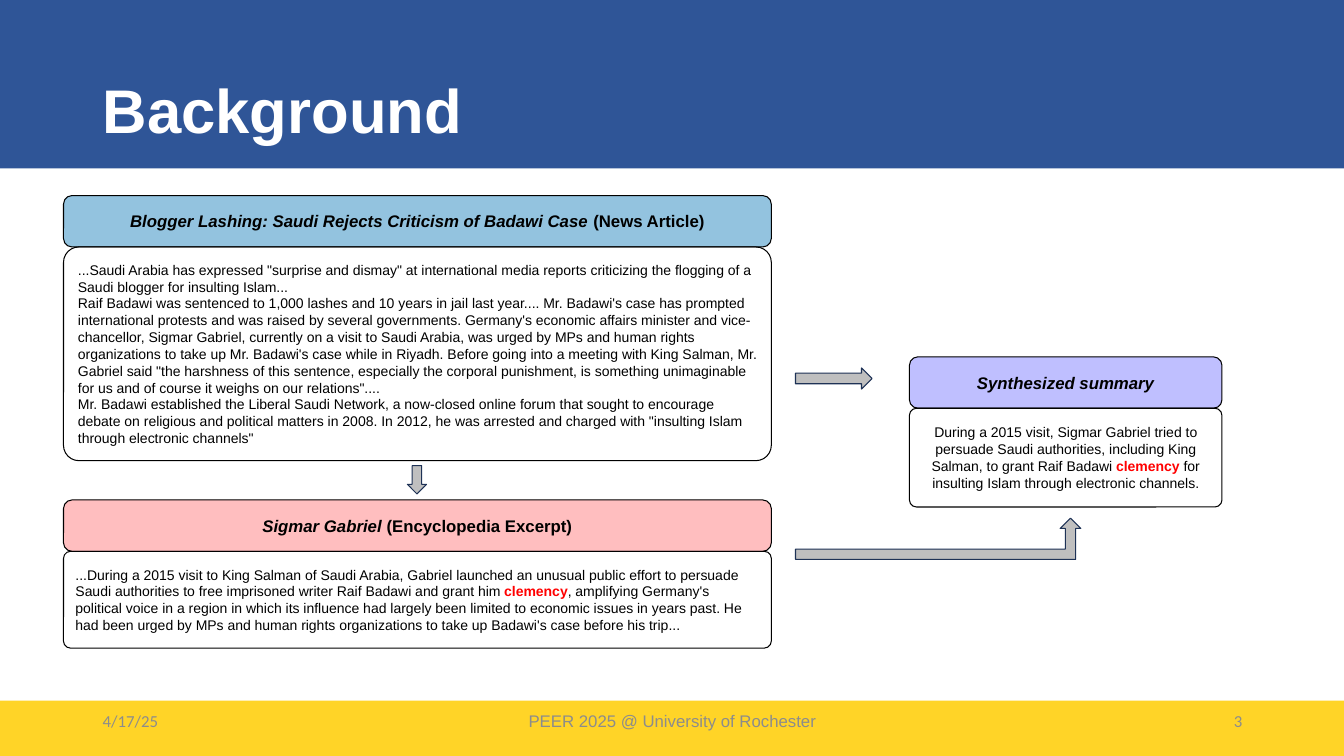
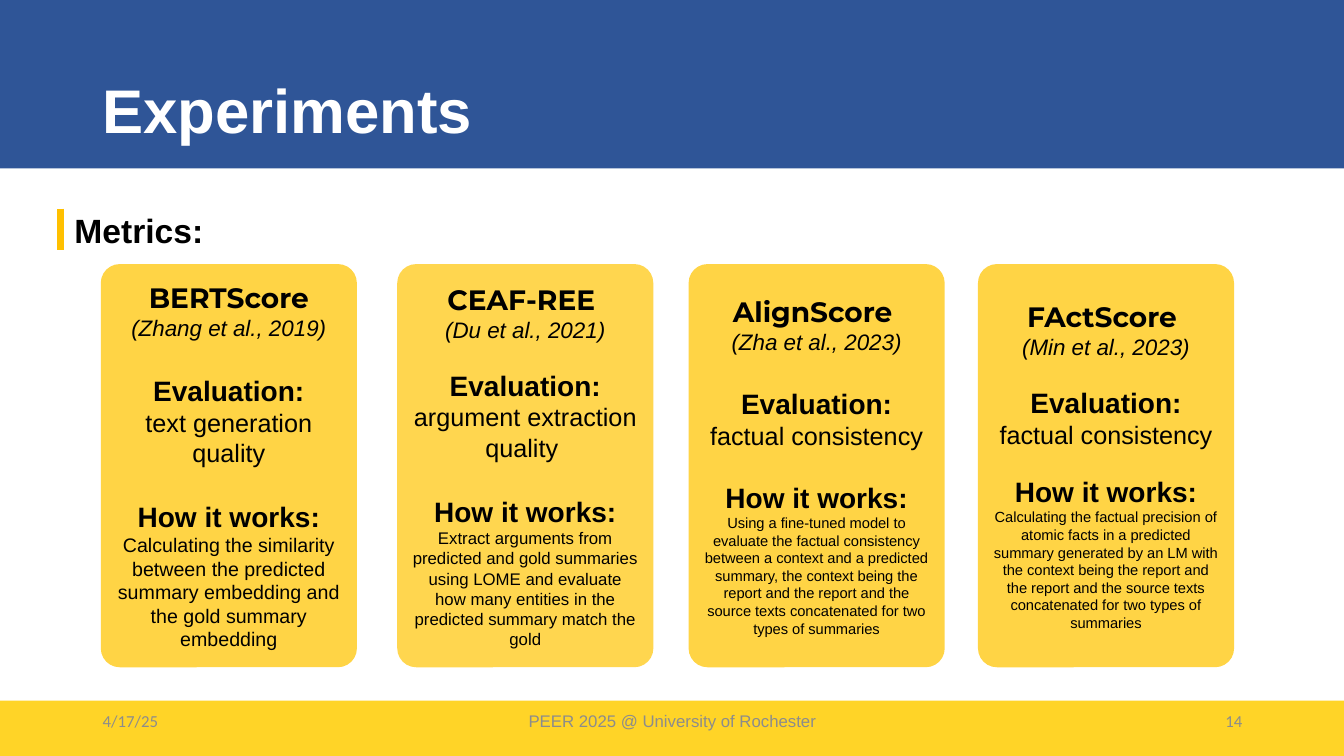
import dataclasses

import lxml.etree
import pptx
import pptx.dml.color
import pptx.enum.shapes
import pptx.enum.text
import pptx.oxml.ns
import pptx.util

RGB = pptx.dml.color.RGBColor
SHAPE = pptx.enum.shapes.MSO_SHAPE
ALIGN = pptx.enum.text.PP_ALIGN
MIDDLE = pptx.enum.text.MSO_ANCHOR.MIDDLE

PX = 9144  # EMU: 100 px to the inch
WIDTH, HEIGHT = 1333, 750

BLUE = RGB(0x2F, 0x55, 0x97)
YELLOW = RGB(0xFF, 0xD4, 0x27)
CARD_YELLOW = RGB(0xFF, 0xD4, 0x45)
AMBER = RGB(0xFF, 0xC0, 0x00)
SKY = RGB(0x93, 0xC3, 0xDF)
PINK = RGB(0xFF, 0xBE, 0xBF)
LILAC = RGB(0xBF, 0xBF, 0xFF)
SILVER = RGB(0xBF, 0xBF, 0xBF)
NAVY = RGB(0x1E, 0x32, 0x56)
GREY = RGB(0x8C, 0x8C, 0x8C)
RED = RGB(0xFF, 0x00, 0x00)
BLACK = RGB(0x00, 0x00, 0x00)
WHITE = RGB(0xFF, 0xFF, 0xFF)


@dataclasses.dataclass
class Span:
    """Part of a paragraph; None keeps the paragraph's own setting."""
    text: str
    bold: bool = None
    italic: bool = None
    color: RGB = None


@dataclasses.dataclass
class Para:
    """One paragraph: a string or a list of spans, with its style."""
    content: object
    size: float = 10
    bold: bool = False
    italic: bool = False
    color: RGB = BLACK
    font: str = "Arial"
    align: object = ALIGN.LEFT
    gap: float = 0
    spacing: float = 1.0


class Deck:
    """Shared style and the slide being drawn."""

    def __init__(self):
        self.file = pptx.Presentation()
        self.file.slide_width = WIDTH * PX
        self.file.slide_height = HEIGHT * PX
        self.page = None

    def add_page(self, title, number):
        self.page = self.file.slides.add_slide(self.file.slide_layouts[6])
        # Bands
        self.shape(SHAPE.RECTANGLE, (0, 0, WIDTH, 167), BLUE)
        self.shape(SHAPE.RECTANGLE, (0, 695, WIDTH, 55), YELLOW)
        # Title and footer
        self.text((92, 40, 1150, 145),
                  Para(title, 44, bold=True, color=WHITE, spacing=0.9))
        for left, width, words, font, align in (
                (92, 300, "4/17/25", "Calibri", ALIGN.LEFT),
                (442, 450, "PEER 2025 @ University of Rochester", "Arial", ALIGN.CENTER),
                (942, 300, number, "Calibri", ALIGN.RIGHT)):
            self.text((left, 695, width, 40),
                      Para(words, 12, color=GREY, font=font, align=align))

    def place(self, area):
        return [length * PX for length in area]

    def shape(self, kind, area, fill=None, line=None, rounding=None, opacity=None):
        shape = self.page.shapes.add_shape(kind, *self.place(area))
        shape.shadow.inherit = False
        if fill is None:
            shape.fill.background()
        else:
            shape.fill.solid()
            shape.fill.fore_color.rgb = fill
        if line is None:
            shape.line.fill.background()
        else:
            shape.line.color.rgb = line
            shape.line.width = pptx.util.Pt(0.75)
        if rounding is not None:
            shape.adjustments[0] = rounding
        if opacity is not None:
            tint = next(shape.element.spPr.iter(pptx.oxml.ns.qn("a:srgbClr")))
            alpha = lxml.etree.SubElement(tint, pptx.oxml.ns.qn("a:alpha"))
            alpha.set("val", str(opacity * 1000))
        return shape

    def text(self, area, *paras):
        box = self.page.shapes.add_textbox(*self.place(area))
        self.fill_text(box, paras)

    def fill_text(self, box, paras):
        frame = box.text_frame
        frame.word_wrap = True
        frame.vertical_anchor = MIDDLE
        for index, para in enumerate(paras):
            paragraph = frame.add_paragraph() if index else frame.paragraphs[0]
            paragraph.alignment = para.align
            paragraph.line_spacing = para.spacing
            paragraph.space_before = pptx.util.Pt(para.gap)
            self.style(paragraph.font, para)
            paragraph.font.size = pptx.util.Pt(para.size)
            paragraph.font.name = para.font
            spans = para.content
            if isinstance(spans, str):
                spans = [Span(spans)]
            for span in spans:
                run = paragraph.add_run()
                run.text = span.text
                self.style(run.font, span)

    def style(self, font, look):
        font.bold = look.bold
        font.italic = look.italic
        if look.color is not None:
            font.color.rgb = look.color

    def panel(self, left, top, width, height, fill, heading, body):
        """Coloured heading box with an outlined text box below it."""
        head_height = 51
        head = self.shape(SHAPE.ROUNDED_RECTANGLE, (left, top, width, head_height),
                          fill, BLACK)
        self.fill_text(head, [Para(heading, 12, bold=True, italic=True,
                                   align=ALIGN.CENTER)])
        box = self.shape(SHAPE.ROUNDED_RECTANGLE,
                         (left, top + head_height, width, height),
                         line=BLACK, rounding=0.072)
        self.fill_text(box, body)

    def arrow(self, kind, *area):
        self.shape(kind, area, SILVER, NAVY)

    def card(self, left, paras, opacity=None):
        box = self.shape(SHAPE.ROUNDED_RECTANGLE, (left, 262, 254, 400),
                         CARD_YELLOW, rounding=0.074, opacity=opacity)
        self.fill_text(box, paras)

    def rule(self, x, top, bottom, color, weight):
        line = self.page.shapes.add_connector(
            pptx.enum.shapes.MSO_CONNECTOR.STRAIGHT, *self.place((x, top, x, bottom)))
        line.line.color.rgb = color
        line.line.width = pptx.util.Pt(weight)
        lxml.etree.SubElement(line.element.spPr, pptx.oxml.ns.qn("a:effectLst"))


def metric_paras(name, cite, task, method, method_size, first_gap, second_gap):
    """Text of a metric card; gaps are in points."""
    centered = {"align": ALIGN.CENTER}
    return [
        Para(name, 20, bold=True, font="Montserrat", **centered),
        Para(cite, 16, italic=True, **centered),
        Para("Evaluation:", 20, bold=True, gap=first_gap, **centered),
        Para(task, 18, **centered),
        Para("How it works:", 20, bold=True, gap=second_gap, **centered),
        Para(method, method_size, **centered),
    ]


def background(deck):
    deck.add_page("Background", "3")
    clemency = Span("clemency", bold=True, color=RED)

    # Source texts
    deck.panel(63, 194, 702, 212, SKY, [
        Span("Blogger Lashing: Saudi Rejects Criticism of Badawi Case "),
        Span("(News Article)", italic=False),
    ], [
        Para('...Saudi Arabia has expressed "surprise and dismay" at international media '
             'reports criticizing the flogging of a Saudi blogger for insulting Islam...'),
        Para("Raif Badawi was sentenced to 1,000 lashes and 10 years in jail last year.... "
             "Mr. Badawi's case has prompted international protests and was raised by "
             "several governments. Germany's economic affairs minister and vice-chancellor, "
             "Sigmar Gabriel, currently on a visit to Saudi Arabia, was urged by MPs and "
             "human rights organizations to take up Mr. Badawi's case while in Riyadh. "
             "Before going into a meeting with King Salman, Mr. Gabriel said \"the harshness "
             "of this sentence, especially the corporal punishment, is something "
             "unimaginable for us and of course it weighs on our relations\"...."),
        Para("Mr. Badawi established the Liberal Saudi Network, a now-closed online forum "
             "that sought to encourage debate on religious and political matters in 2008. "
             "In 2012, he was arrested and charged with \"insulting Islam through "
             "electronic channels\""),
    ])
    deck.panel(63, 496, 702, 96, PINK, [
        Span("Sigmar Gabriel "),
        Span("(Encyclopedia Excerpt)", italic=False),
    ], [Para([
        Span("...During a 2015 visit to King Salman of Saudi Arabia, Gabriel launched an "
             "unusual public effort to persuade Saudi authorities to free imprisoned "
             "writer Raif Badawi and grant him "),
        clemency,
        Span(", amplifying Germany's political voice in a region in which its influence "
             "had largely been limited to economic issues in years past. He had been urged "
             "by MPs and human rights organizations to take up Badawi's case before his "
             "trip..."),
    ])])

    # Summary
    deck.panel(902, 354, 310, 98, LILAC, "Synthesized summary", [Para([
        Span("During a 2015 visit, Sigmar Gabriel tried to persuade Saudi authorities, "
             "including King Salman, to grant Raif Badawi "),
        clemency,
        Span(" for insulting Islam through electronic channels."),
    ], align=ALIGN.CENTER)])

    # Arrows
    deck.arrow(SHAPE.DOWN_ARROW, 404, 462, 19, 28)
    deck.arrow(SHAPE.RIGHT_ARROW, 789, 365, 76, 21)
    deck.arrow(SHAPE.BENT_UP_ARROW, 789, 514, 283, 41)


def experiments(deck):
    deck.add_page("Experiments", "14")

    # Section heading
    deck.text((64, 194, 324, 68), Para("Metrics:", 24, bold=True))
    deck.rule(60, 207, 248, AMBER, 4.5)

    # Metric cards
    deck.card(100, metric_paras(
        "BERTScore", "(Zhang et al., 2019)", "text generation quality",
        "Calculating the similarity between the predicted summary embedding and the gold "
        "summary embedding", 14, 23, 23))
    deck.card(394, metric_paras(
        "CEAF-REE ", "(Du et al., 2021)", "argument extraction quality ",
        "Extract arguments from predicted and gold summaries using LOME and evaluate how "
        "many entities in the predicted summary match the gold", 12, 18, 23), opacity=94)
    deck.card(683, metric_paras(
        "AlignScore ", "(Zha et al., 2023)", "factual consistency",
        "Using a fine-tuned model to evaluate the factual consistency between a context "
        "and a predicted summary, the context being the report and the report and the "
        "source texts concatenated for two types of summaries", 10.5, 23, 21))
    deck.card(970, metric_paras(
        "FActScore ", "(Min et al., 2023)", "factual consistency",
        "Calculating the factual precision of atomic facts in a predicted summary "
        "generated by an LM with the context being the report and the report and the "
        "source texts concatenated for two types of summaries", 10.5, 18, 18))


def main():
    deck = Deck()
    background(deck)
    experiments(deck)
    deck.file.save("out.pptx")


if __name__ == "__main__":
    main()
